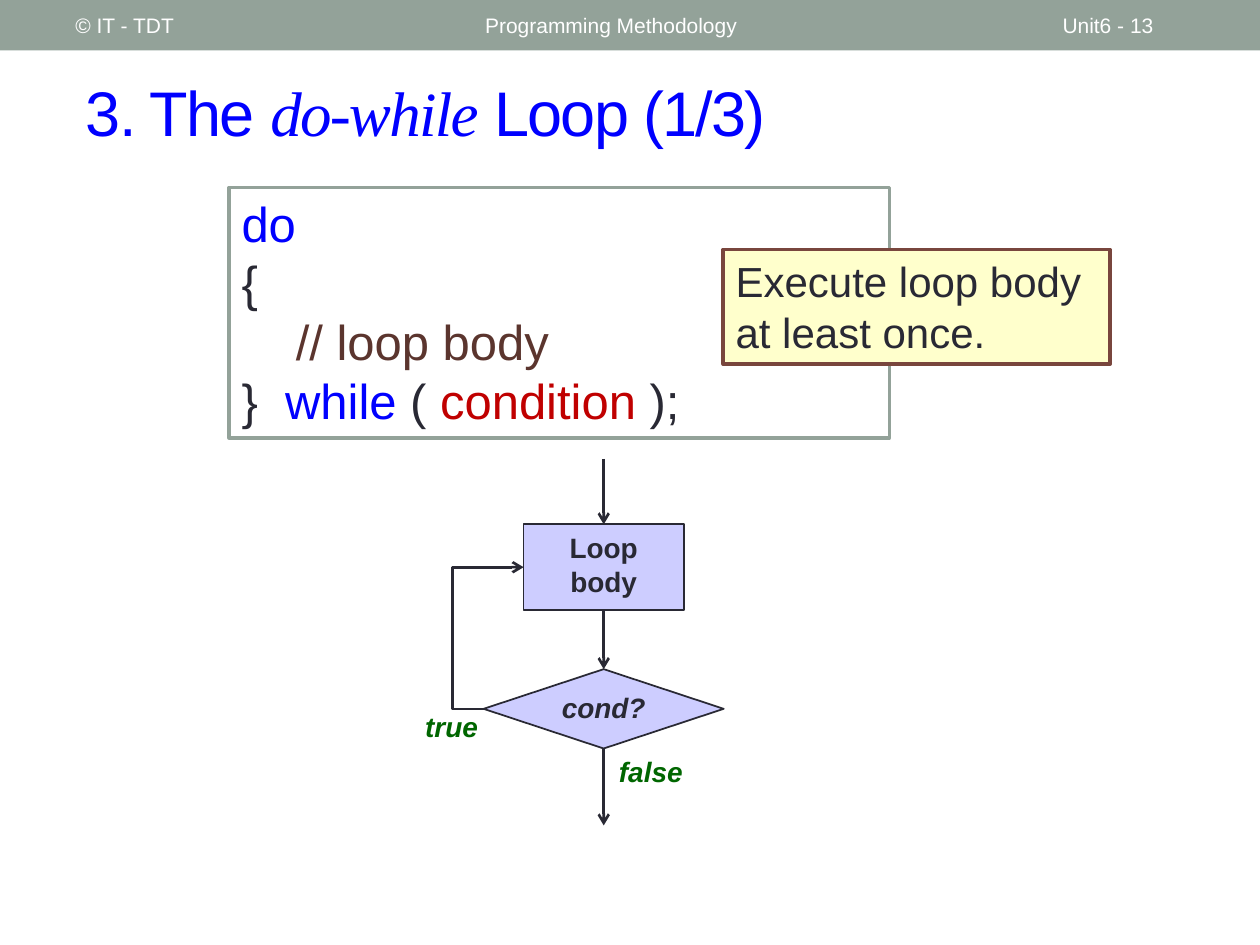
from lxml import etree
from pptx import Presentation
from pptx.dml.color import RGBColor
from pptx.enum import shapes, text
from pptx.oxml.ns import qn
from pptx.util import Cm, Pt

INK = RGBColor(0x29, 0x29, 0x34)
SAGE = RGBColor(0x93, 0xA2, 0x99)
WHITE = RGBColor(0xFF, 0xFF, 0xFF)
BLUE = RGBColor(0x00, 0x00, 0xFF)
BROWN = RGBColor(0x5B, 0x35, 0x2E)
RUST = RGBColor(0x79, 0x46, 0x3D)
RED = RGBColor(0xC0, 0x00, 0x00)
GREEN = RGBColor(0x00, 0x66, 0x00)
CREAM = RGBColor(0xFF, 0xFF, 0xCC)
LILAC = RGBColor(0xCD, 0xCD, 0xFF)

LEFT, CENTER, RIGHT = text.PP_ALIGN.LEFT, text.PP_ALIGN.CENTER, text.PP_ALIGN.RIGHT
TOP, MIDDLE = text.MSO_ANCHOR.TOP, text.MSO_ANCHOR.MIDDLE
PRESET = shapes.MSO_SHAPE
AXIS = 12.17  # centre line of the flowchart, in cm


def write(box, lines, size, color=INK, align=LEFT, anchor=TOP, bold=None, italic=None):
    """Fill a box; a line is a string or a list of (text, color) spans."""
    frame = box.text_frame
    frame.word_wrap = True
    frame.vertical_anchor = anchor
    for number, line in enumerate(lines):
        para = frame.add_paragraph() if number else frame.paragraphs[0]
        para.alignment = align
        font = para.font
        font.name, font.size, font.bold, font.italic = "Arial", Pt(size), bold, italic
        font.color.rgb = color
        for words, tint in [(line, color)] if isinstance(line, str) else line:
            span = para.add_run()
            span.text = words
            if tint != color:
                span.font.color.rgb = tint


def add_label(page, left, top, width, height, words, size, **style):
    box = page.shapes.add_textbox(Cm(left), Cm(top), Cm(width), Cm(height))
    write(box, [words], size, **style)
    return box


def add_panel(page, preset, left, top, width, height, fill, line=None, weight=1):
    panel = page.shapes.add_shape(preset, Cm(left), Cm(top), Cm(width), Cm(height))
    panel.shadow.inherit = False
    panel.fill.solid()
    panel.fill.fore_color.rgb = fill
    if line is None:
        panel.line.fill.background()
    else:
        panel.line.color.rgb = line
        panel.line.width = Pt(weight)
    return panel


def add_arrow(page, start, end, kind=shapes.MSO_CONNECTOR.STRAIGHT):
    arrow = page.shapes.add_connector(kind, *map(Cm, start + end))
    arrow.line.color.rgb = INK
    arrow.line.width = Pt(1.5)
    etree.SubElement(arrow.line._get_or_add_ln(), qn("a:tailEnd"), type="arrow")
    etree.SubElement(arrow._element.spPr, qn("a:effectLst"))
    return arrow


def bend(arrow, ratio):
    """Place the elbow's middle leg at a share of the connector's width."""
    geometry = arrow._element.spPr.find(qn("a:prstGeom"))
    guides = geometry.find(qn("a:avLst"))
    if guides is None:
        guides = etree.SubElement(geometry, qn("a:avLst"))
    etree.SubElement(guides, qn("a:gd"), name="adj1", fmla=f"val {round(ratio * 100000)}")


def add_header(page):
    add_panel(page, PRESET.RECTANGLE, 0, 0, 25.4, 1.02, SAGE)
    for left, width, words, align in (
        (1.27, 9.3, "© IT - TDT", LEFT),
        (9.53, 11.43, "Programming Methodology", LEFT),
        (21.17, 2.96, "Unit6 - 13", LEFT),
    ):
        add_label(page, left, 0.05, width, 0.91, words, 12,
                  color=WHITE, align=align, anchor=MIDDLE)


def add_title(page):
    spans = [(words, BLUE) for words in ("3. The ", "do-while", " Loop (1/3)")]
    title = add_label(page, 1.48, 1.07, 23.29, 2.34, spans, 36, color=BLUE, anchor=MIDDLE)
    runs = title.text_frame.paragraphs[0].runs
    for span in runs:
        span._r.get_or_add_rPr().set("spc", "-100")
    runs[1].font.name = "Times New Roman"
    runs[1].font.italic = True


def add_code(page):
    code = add_panel(page, PRESET.RECTANGLE, 4.62, 3.78, 13.31, 5.05, WHITE, SAGE, 2.08)
    write(code, [
        [("do", BLUE)],
        "{",
        [("    // loop body", BROWN)],
        [("}  ", INK), ("while", BLUE), (" ( ", INK), ("condition ", RED), (");", INK)],
    ], 28)
    note = add_panel(page, PRESET.RECTANGLE, 14.58, 5.03, 7.8, 2.31, CREAM, RUST, 2.08)
    write(note, ["Execute loop body at least once."], 24)


def add_flowchart(page):
    body_width, body_top, body_height = 3.23, 10.57, 1.73
    cond_width, cond_top, cond_height = 4.84, 13.49, 1.6
    body_left, cond_left = AXIS - body_width / 2, AXIS - cond_width / 2
    body_bottom, cond_bottom = body_top + body_height, cond_top + cond_height

    body = add_panel(page, PRESET.FLOWCHART_PROCESS, body_left, body_top,
                     body_width, body_height, LILAC, INK)
    write(body, ["Loop", "body"], 16, align=CENTER, bold=True)
    cond = add_panel(page, PRESET.FLOWCHART_DECISION, cond_left, cond_top,
                     cond_width, cond_height, LILAC, INK)

    for left, top, width, words, color in (
        (AXIS - 1.52, 13.8, 3.04, "cond?", INK),
        (7.9, 14.18, 2.41, "true", GREEN),
        (12.04, 15.09, 2.16, "false", GREEN),
    ):
        add_label(page, left, top, width, 0.94, words, 16,
                  color=color, align=CENTER, bold=True, italic=True)

    entry = add_arrow(page, (AXIS, 9.25), (AXIS, body_top))
    entry.end_connect(body, 0)
    test = add_arrow(page, (AXIS, body_bottom), (AXIS, cond_top))
    test.begin_connect(body, 2)
    test.end_connect(cond, 0)
    leave = add_arrow(page, (AXIS, cond_bottom), (AXIS, 16.64))
    leave.begin_connect(cond, 2)

    repeat = add_arrow(page, (cond_left, cond_top + cond_height / 2),
                       (body_left, body_top + body_height / 2), shapes.MSO_CONNECTOR.ELBOW)
    bend(repeat, (9.12 - cond_left) / (body_left - cond_left))


def main():
    deck = Presentation()
    deck.slide_width, deck.slide_height = Cm(25.4), Cm(19.05)
    page = deck.slides.add_slide(deck.slide_layouts[6])
    add_header(page)
    add_title(page)
    add_code(page)
    add_flowchart(page)
    deck.save("out.pptx")


if __name__ == "__main__":
    main()
